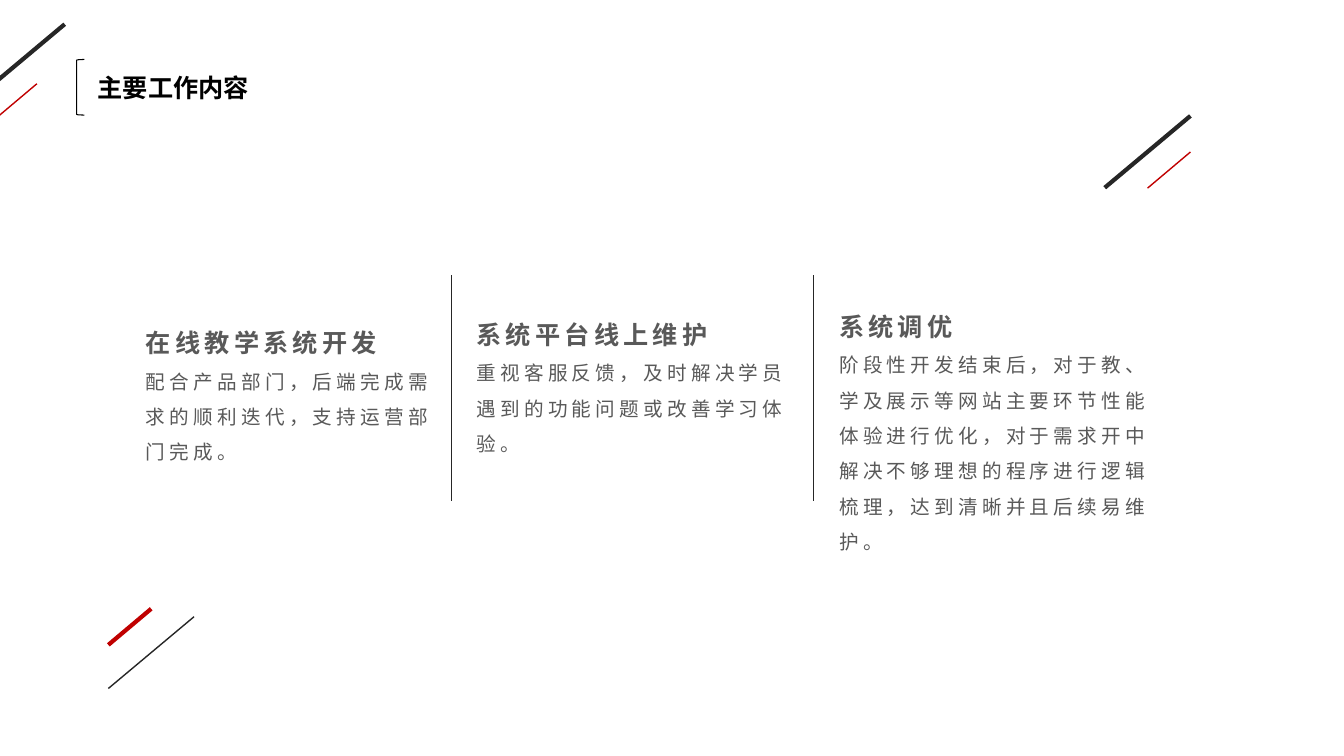
from lxml import etree
from pptx import Presentation
from pptx.dml.color import RGBColor
from pptx.enum.shapes import MSO_CONNECTOR as CONN, MSO_SHAPE as SHAPE
from pptx.enum.text import MSO_ANCHOR as ANCHOR, MSO_AUTO_SIZE as AUTO, PP_ALIGN as ALIGN
from pptx.oxml.ns import qn
from pptx.util import Cm, Pt

DARK, RED, GREY, BLACK = "262626", "C00000", "595959", "000000"
LONG, SHORT = (2.16, 1.81), (1.08, 0.91)  # width and height of a slanted stroke

# Heading, body, and the box left, top, width, height in cm
COLUMNS = [
    ("在线教学系统开发", "配合产品部门，后端完成需求的顺利迭代，支持运营部门完成。",
     (3.43, 7.75, 8.2, 4.11)),
    ("系统平台线上维护", "重视客服反馈，及时解决学员遇到的功能问题或改善学习体验。",
     (11.76, 7.54, 8.71, 4.11)),
    ("系统调优", "阶段性开发结束后，对于教、学及展示等网站主要环节性能体验进行优化，"
     "对于需求开中解决不够理想的程序进行逻辑梳理，达到清晰并且后续易维护。",
     (20.9, 7.34, 8.71, 6.81)),
]


def color(value):
    return RGBColor.from_string(value)


def style_font(p, size, value, bold):
    f = p.font
    f.name, f.size, f.bold = "Arial", Pt(size), bold
    f.color.rgb = color(value)


def add_line(s, x1, y1, x2, y2, value, width):
    ln = s.shapes.add_connector(CONN.STRAIGHT, Cm(x1), Cm(y1), Cm(x2), Cm(y2))
    ln.line.color.rgb = color(value)
    ln.line.width = Pt(width)
    etree.SubElement(ln._element.spPr, qn("a:effectLst"))


def add_strokes(s, left, top, strokes):
    """Slanted strokes, each offset from the corner of its group."""
    for dx, dy, (w, h), value, width in strokes:
        x, y = left + dx, top + dy
        add_line(s, x + w, y, x, y + h, value, width)


def add_title(s, left, top, width, height):
    # Bracket
    sp = s.shapes.add_shape(SHAPE.LEFT_BRACKET, Cm(left), Cm(top), Cm(0.2), Cm(height))
    sp.shadow.inherit = False
    sp.fill.background()
    sp.line.color.rgb = color(BLACK)
    sp.line.width = Pt(0.75)
    # Title text
    title = s.shapes.title
    title.left, title.top = Cm(left + 0.28), Cm(top + 0.2)
    title.width, title.height = Cm(width), Cm(1.02)
    tf = title.text_frame
    tf.text = "主要工作内容"
    tf.word_wrap = False
    tf.auto_size = AUTO.NONE
    tf.vertical_anchor = ANCHOR.TOP
    p = tf.paragraphs[0]
    p.alignment = ALIGN.LEFT
    style_font(p, 18, BLACK, True)


def add_column(s, heading, body, left, top, width, height):
    tf = s.shapes.add_textbox(Cm(left), Cm(top), Cm(width), Cm(height)).text_frame
    tf.word_wrap = True
    for i, (text, size) in enumerate([(heading, 18), (body, 14)]):
        p = tf.add_paragraph() if i else tf.paragraphs[0]
        p.line_spacing = 1.5
        r = p.add_run()
        r.text = text
        r._r.get_or_add_rPr().set("spc", "300")
        style_font(p, size, GREY, i == 0)


def add_columns(s, top, height):
    for i, (heading, body, box) in enumerate(COLUMNS):
        add_column(s, heading, body, *box)
        if i:  # divider left of the column
            x = box[0] - 0.39
            add_line(s, x, top, x, top + height, DARK, 0.75)


def main():
    prs = Presentation()
    prs.slide_width, prs.slide_height = Cm(33.87), Cm(19.05)
    s = prs.slides.add_slide(prs.slide_layouts[5])

    # Corner decoration: top left, top right, bottom left
    add_strokes(s, -0.53, 0.61, [(0, 0, LONG, DARK, 3), (0.38, 1.5, SHORT, RED, 1)])
    add_strokes(s, 27.84, 2.92, [(0, 0, LONG, DARK, 3), (1.08, 0.91, SHORT, RED, 1)])
    add_strokes(s, 2.73, 15.34, [(0, 0, SHORT, RED, 3), (0, 0.2, LONG, DARK, 1)])

    add_title(s, 1.93, 1.5, 4.37, 1.4)
    add_columns(s, 6.93, 5.7)
    prs.save("out.pptx")


if __name__ == "__main__":
    main()
